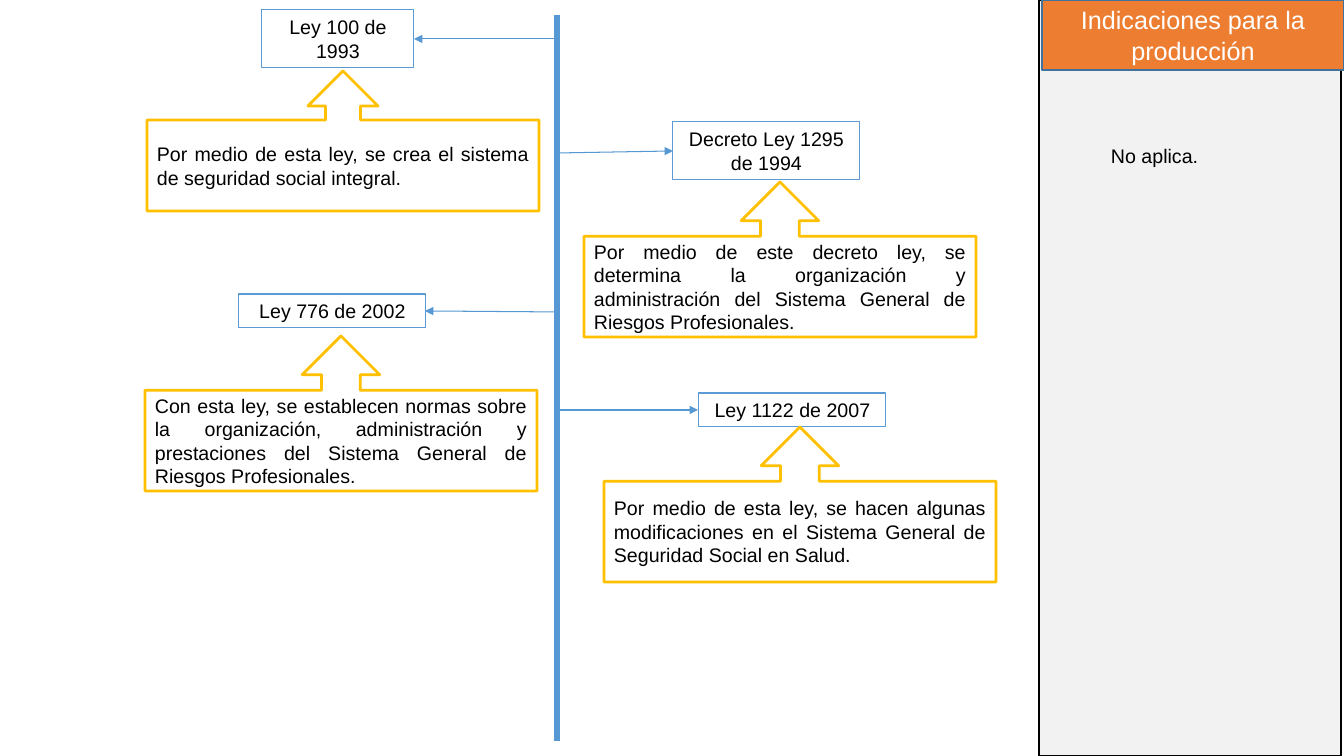
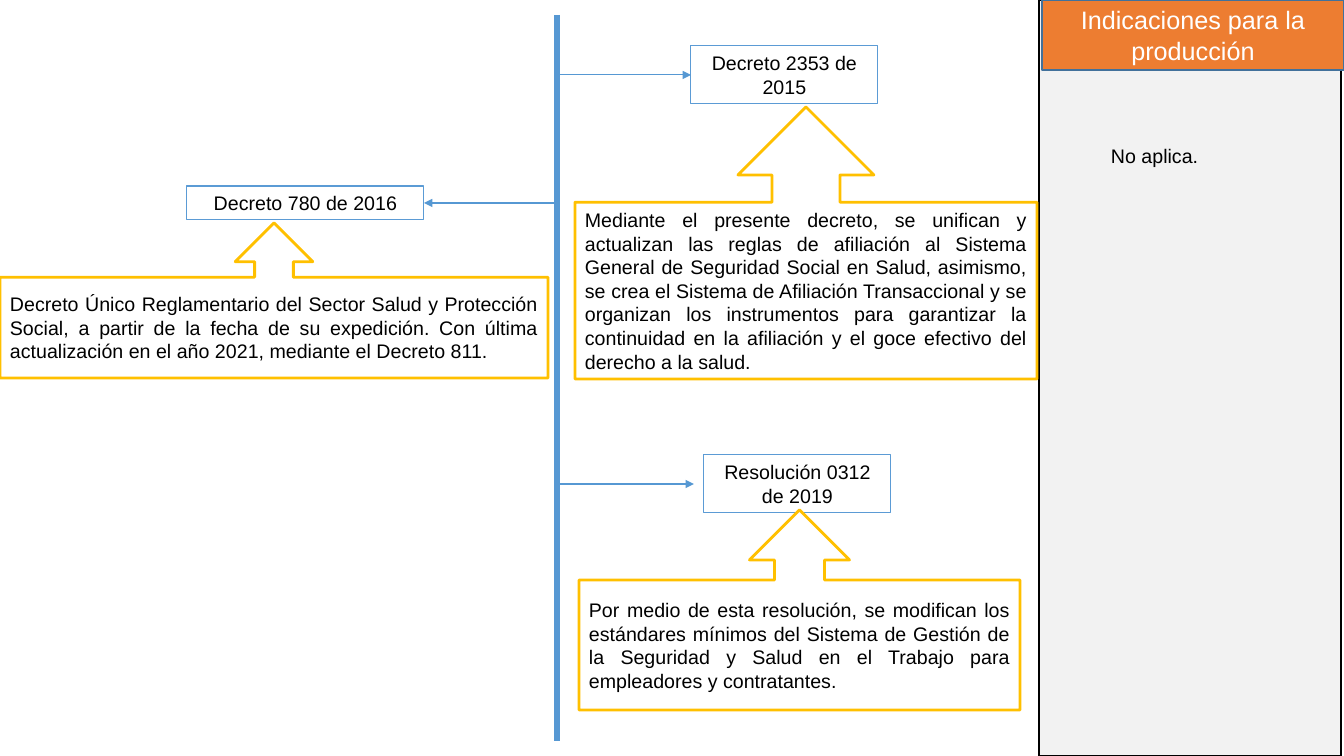
import pptx
import pptx.dml.color
import pptx.enum.shapes
import pptx.enum.text
import pptx.oxml
import pptx.oxml.ns
import pptx.util

EMU_PER_PIXEL = 12192000 / 1344
SLIDE_WIDTH, SLIDE_HEIGHT = 1344, 756

FONT = "Arial"
BLACK, WHITE = "000000", "FFFFFF"
PANEL_GREY, HEADER_ORANGE, HEADER_EDGE = "F2F2F2", "ED7D31", "42719B"
TIMELINE_BLUE, LABEL_BLUE, CALLOUT_GOLD = "5698D3", "5B9BD5", "FFC000"

SHAPE = pptx.enum.shapes.MSO_SHAPE
ALIGN = pptx.enum.text.PP_ALIGN
ANCHOR = pptx.enum.text.MSO_ANCHOR
AUTO_SIZE = pptx.enum.text.MSO_AUTO_SIZE

TIMELINE_X = 557

# Each entry: label, label box, arrow (start x, start y, end x, end y),
# description, callout box. Boxes are left, top, width, height.
TIMELINES = [
    [
        ("Ley 100 de 1993", (262, 10, 152, 58), (560, 39, 414, 39),
         "Por medio de esta ley, se crea el sistema de seguridad social integral.",
         (147, 71, 392, 140)),
        ("Decreto Ley 1295 de 1994", (673, 122, 187, 58), (557, 153, 673, 151),
         "Por medio de este decreto ley, se determina la organización y "
         "administración del Sistema General de Riesgos Profesionales.",
         (584, 182, 392, 155)),
        ("Ley 776 de 2002", (239, 294, 187, 34), (560, 312, 425, 311),
         "Con esta ley, se establecen normas sobre la organización, administración "
         "y prestaciones del Sistema General de Riesgos Profesionales.",
         (145, 336, 392, 155)),
        ("Ley 1122 de 2007", (699, 393, 187, 34), (560, 410, 698, 410),
         "Por medio de esta ley, se hacen algunas modificaciones en el Sistema "
         "General de Seguridad Social en Salud.",
         (604, 427, 392, 155)),
    ],
    [
        ("Decreto 780 de 2016", (187, 186, 237, 34), (557, 203, 424, 203),
         "Decreto Único Reglamentario del Sector Salud y Protección Social, a partir "
         "de la fecha de su expedición. Con última actualización en el año 2021, "
         "mediante el Decreto 811.",
         (0, 223, 548, 155)),
        ("Decreto 2353 de 2015", (691, 46, 187, 58), (555, 75, 691, 75),
         "Mediante el presente decreto, se unifican y actualizan las reglas de "
         "afiliación al Sistema General de Seguridad Social en Salud, asimismo, se "
         "crea el Sistema de Afiliación Transaccional y se organizan los instrumentos "
         "para garantizar la continuidad en la afiliación y el goce efectivo del "
         "derecho a la salud.",
         (575, 107, 462, 272)),
        ("Resolución 0312 de 2019", (704, 455, 187, 58), (557, 484, 694, 484),
         "Por medio de esta resolución, se modifican los estándares mínimos del "
         "Sistema de Gestión de la Seguridad y Salud en el Trabajo para empleadores "
         "y contratantes.",
         (579, 510, 441, 200)),
    ],
]


def pixels(*lengths):
    """Turn pixel lengths into a list of EMU lengths."""
    return [pptx.util.Emu(round(length * EMU_PER_PIXEL)) for length in lengths]


def color(hex_string):
    """Return the colour for a hex string."""
    return pptx.dml.color.RGBColor.from_string(hex_string)


def write_text(shape, text, *, size=14, font_color=BLACK, align=ALIGN.LEFT,
               anchor=ANCHOR.TOP, auto_size=AUTO_SIZE.NONE):
    """Write one formatted paragraph into a shape."""
    frame = shape.text_frame
    frame.word_wrap = True
    frame.auto_size = auto_size
    frame.vertical_anchor = anchor
    paragraph = frame.paragraphs[0]
    paragraph.alignment = align
    run = paragraph.add_run()
    run.text = text
    run.font.name = FONT
    run.font.size = pptx.util.Pt(size)
    run.font.color.rgb = color(font_color)


def add_box(slide, box, line_color, line_width, *, kind=SHAPE.RECTANGLE, fill=None):
    """Add an outlined preset shape, unfilled unless a fill is given."""
    shape = slide.shapes.add_shape(kind, *pixels(*box))
    shape.shadow.inherit = False
    if fill is None:
        shape.fill.background()
    else:
        shape.fill.solid()
        shape.fill.fore_color.rgb = color(fill)
    shape.line.color.rgb = color(line_color)
    shape.line.width = pptx.util.Pt(line_width)
    return shape


def add_line(slide, ends, width, *, arrow=False):
    """Add a straight timeline line, with an arrowhead at its end if asked."""
    connector = slide.shapes.add_connector(
        pptx.enum.shapes.MSO_CONNECTOR.STRAIGHT, *pixels(*ends))
    connector.line.color.rgb = color(TIMELINE_BLUE)
    connector.line.width = pptx.util.Pt(width)
    if arrow:
        head = pptx.oxml.parse_xml(
            "<a:tailEnd %s type='triangle'/>" % pptx.oxml.ns.nsdecls("a"))
        connector.line._get_or_add_ln().append(head)
    no_effects = pptx.oxml.parse_xml("<a:effectLst %s/>" % pptx.oxml.ns.nsdecls("a"))
    connector._element.spPr.append(no_effects)


def add_production_panel(slide):
    """Add the side panel with the production notes."""
    add_box(slide, (1039, 0, 302, 756), BLACK, 1, fill=PANEL_GREY)
    note = slide.shapes.add_textbox(*pixels(1101, 139, 246, 47))
    write_text(note, "No aplica.")
    header = add_box(slide, (1042, 0, 302, 70), HEADER_EDGE, 1, fill=HEADER_ORANGE)
    write_text(header, "Indicaciones para la producción", size=18,
               font_color=WHITE, align=ALIGN.CENTER, anchor=ANCHOR.MIDDLE)


def add_law(slide, label, label_box, arrow_ends, description, callout_box):
    """Add a law's label, its arrow from the timeline and its callout."""
    label_shape = add_box(slide, label_box, LABEL_BLUE, 0.75)
    write_text(label_shape, label, align=ALIGN.CENTER,
               auto_size=AUTO_SIZE.SHAPE_TO_FIT_TEXT)
    add_line(slide, arrow_ends, 0.75, arrow=True)
    callout = add_box(slide, callout_box, CALLOUT_GOLD, 2,
                      kind=SHAPE.UP_ARROW_CALLOUT, fill=WHITE)
    write_text(callout, description, align=ALIGN.JUSTIFY, anchor=ANCHOR.MIDDLE)


def main():
    """Build the timeline slides and save them."""
    presentation = pptx.Presentation()
    presentation.slide_width, presentation.slide_height = pixels(
        SLIDE_WIDTH, SLIDE_HEIGHT)
    for laws in TIMELINES:
        slide = presentation.slides.add_slide(presentation.slide_layouts[6])
        add_production_panel(slide)
        add_line(slide, (TIMELINE_X, 15, TIMELINE_X, 741), 4.5)
        for law in laws:
            add_law(slide, *law)
    presentation.save("out.pptx")


main()
